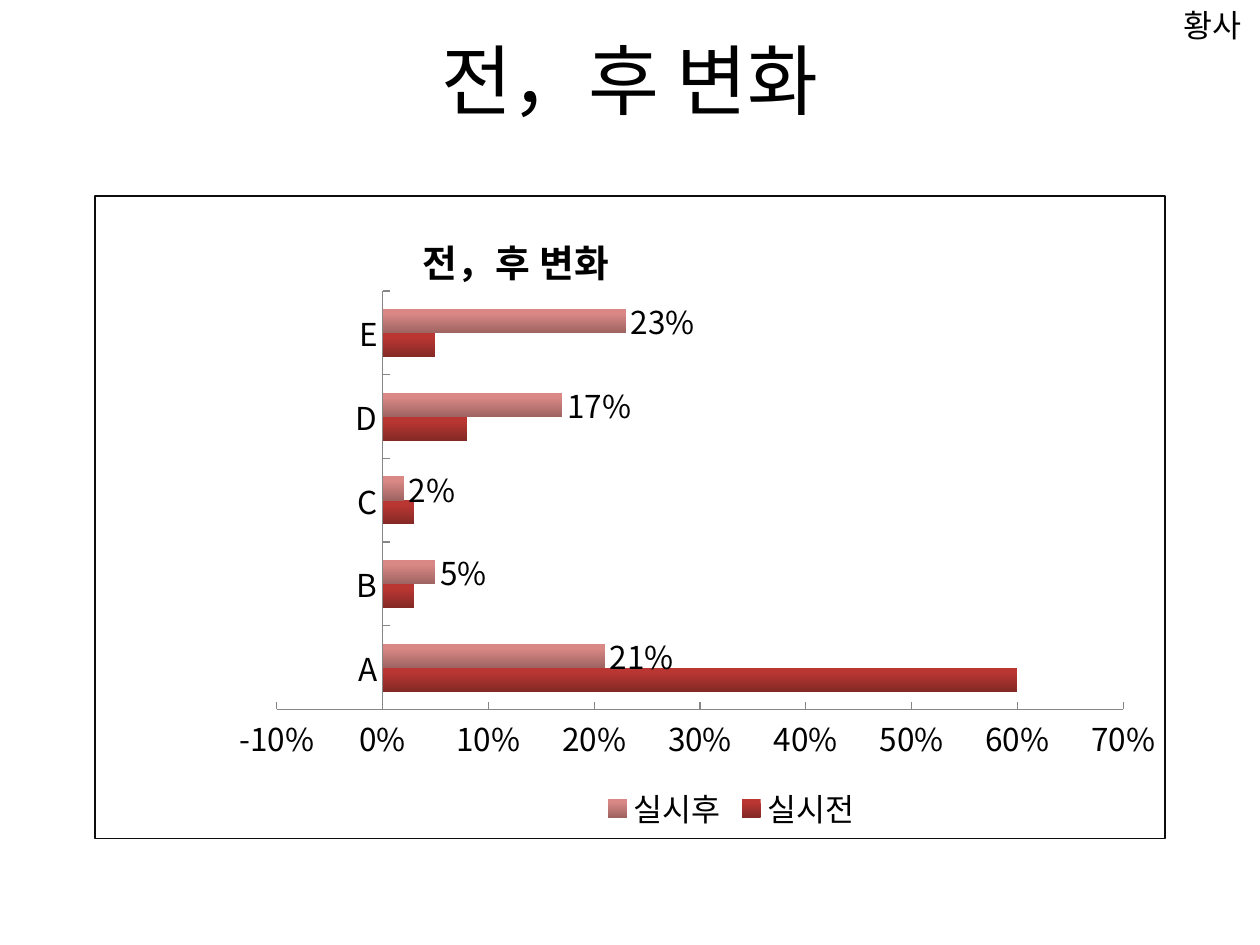
from lxml import etree
from pptx import Presentation
from pptx.chart import data as cd
from pptx.dml.color import RGBColor
from pptx.enum import chart as ch, text
from pptx.oxml import ns
from pptx.util import Cm, Pt

FONT = "Noto Sans CJK KR"
HEADING = "전，후 변화"
COLORS = {
    "text": "000000",
    "border": "0D0D0D",
    "axis": "868686",
    "before_top": "B93632",
    "before_end": "842926",
    "after_top": "D98885",
    "after_end": "9E6462",
}


def rgb(name):
    return RGBColor.from_string(COLORS[name])


def child(parent, tag, **attrs):
    return etree.SubElement(parent, ns.qn(tag), attrs)


def style_font(font, size, bold=False):
    """Set Latin and East Asian typeface, size, weight and colour."""
    font.name, font.size, font.bold = FONT, Pt(size), bold
    font.color.rgb = rgb("text")
    latin = font._element.find(ns.qn("a:latin"))
    ea = etree.Element(ns.qn("a:ea"), typeface=FONT)
    latin.addnext(ea)


def write(tf, words, size, align, bold=False):
    p = tf.paragraphs[0]
    p.alignment = align
    r = p.add_run()
    r.text = words
    style_font(r.font, size, bold)


def place(shape, box):
    shape.left, shape.top, shape.width, shape.height = map(Cm, box)


def set_layout(element, index, inner=False, **fractions):
    """Fix a chart part at fractions of the chart area."""
    old = element.find(ns.qn("c:layout"))
    if old is not None:
        element.remove(old)
    layout = etree.Element(ns.qn("c:layout"))
    manual = child(layout, "c:manualLayout")
    if inner:
        child(manual, "c:layoutTarget", val="inner")
    for mode in ("xMode", "yMode"):
        child(manual, f"c:{mode}", val="edge")
    for key, value in fractions.items():
        child(manual, f"c:{key}", val=str(value))
    element.insert(index, layout)


def add_border(chart):
    area = etree.Element(ns.qn("c:spPr"))
    child(area, "a:noFill")
    line = child(area, "a:ln", w=str(Pt(0.75)))
    child(child(line, "a:solidFill"), "a:srgbClr", val=COLORS["border"])
    chart._chartSpace.find(ns.qn("c:chart")).addnext(area)


def style_axis(axis):
    axis.has_major_gridlines = False
    axis.major_tick_mark = ch.XL_TICK_MARK.INSIDE
    axis.minor_tick_mark = ch.XL_TICK_MARK.NONE
    axis.format.line.color.rgb = rgb("axis")
    axis.format.line.width = Pt(0.75)


def shade(series, name):
    fill = series.format.fill
    fill.gradient()
    fill.gradient_angle = 270
    for stop, part, position in zip(fill.gradient_stops, ("top", "end"), (0.2, 1)):
        stop.color.rgb = rgb(f"{name}_{part}")
        stop.position = position
    series.invert_if_negative = False


def change_chart(s, box):
    data = cd.CategoryChartData(number_format="0%")
    data.categories = list("ABCDE")
    data.add_series("실시전", (0.6, 0.03, 0.03, 0.08, 0.05))
    data.add_series("실시후", (0.21, 0.05, 0.02, 0.17, 0.23))
    chart = s.shapes.add_chart(
        ch.XL_CHART_TYPE.BAR_CLUSTERED, *map(Cm, box), data).chart
    style_font(chart.font, 18)
    add_border(chart)

    write(chart.chart_title.text_frame, HEADING, 21.6, None, bold=True)
    set_layout(chart.chart_title._element, 1, x=0.3, y=0.04)
    chart.has_legend = True
    chart.legend.position = ch.XL_LEGEND_POSITION.BOTTOM
    chart.legend.include_in_layout = False
    set_layout(chart.legend._element, 1, x=0.47, y=0.91)

    style_axis(chart.category_axis)
    axis = chart.value_axis
    style_axis(axis)
    axis.minimum_scale, axis.maximum_scale, axis.major_unit = -0.1, 0.7, 0.1
    axis.tick_labels.number_format = "0%"
    axis.tick_labels.number_format_is_linked = False

    plot = chart.plots[0]
    plot.gap_width, plot.overlap = 150, 0
    plot.vary_by_categories = False
    set_layout(plot._element.getparent(), 0, inner=True,
               x=0.17, y=0.148, w=0.791, h=0.651)
    before, after = plot.series
    shade(before, "before")
    shade(after, "after")
    labels = after.data_labels
    labels.show_value = True
    labels.number_format, labels.number_format_is_linked = "0%", False
    labels.position = ch.XL_LABEL_POSITION.OUTSIDE_END
    style_font(labels.font, 18)


def slide_title(s, box):
    title = s.shapes.title
    place(title, box)
    title.text_frame.vertical_anchor = text.MSO_ANCHOR.MIDDLE
    write(title.text_frame, HEADING, 44, text.PP_ALIGN.CENTER)


def topic_tag(s, box):
    tf = s.shapes.add_textbox(*map(Cm, box)).text_frame
    tf.word_wrap = False
    tf.auto_size = text.MSO_AUTO_SIZE.SHAPE_TO_FIT_TEXT
    write(tf, "황사", 18, text.PP_ALIGN.LEFT)


def main():
    prs = Presentation()
    prs.slide_width, prs.slide_height = Cm(25.4), Cm(19.05)
    s = prs.slides.add_slide(prs.slide_layouts[5])
    topic_tag(s, (23.6, 0, 1.8, 1.02))
    slide_title(s, (0, 0, 25.4, 3.18))
    change_chart(s, (1.9, 3.94, 21.6, 12.98))
    prs.save("out.pptx")


if __name__ == "__main__":
    main()
